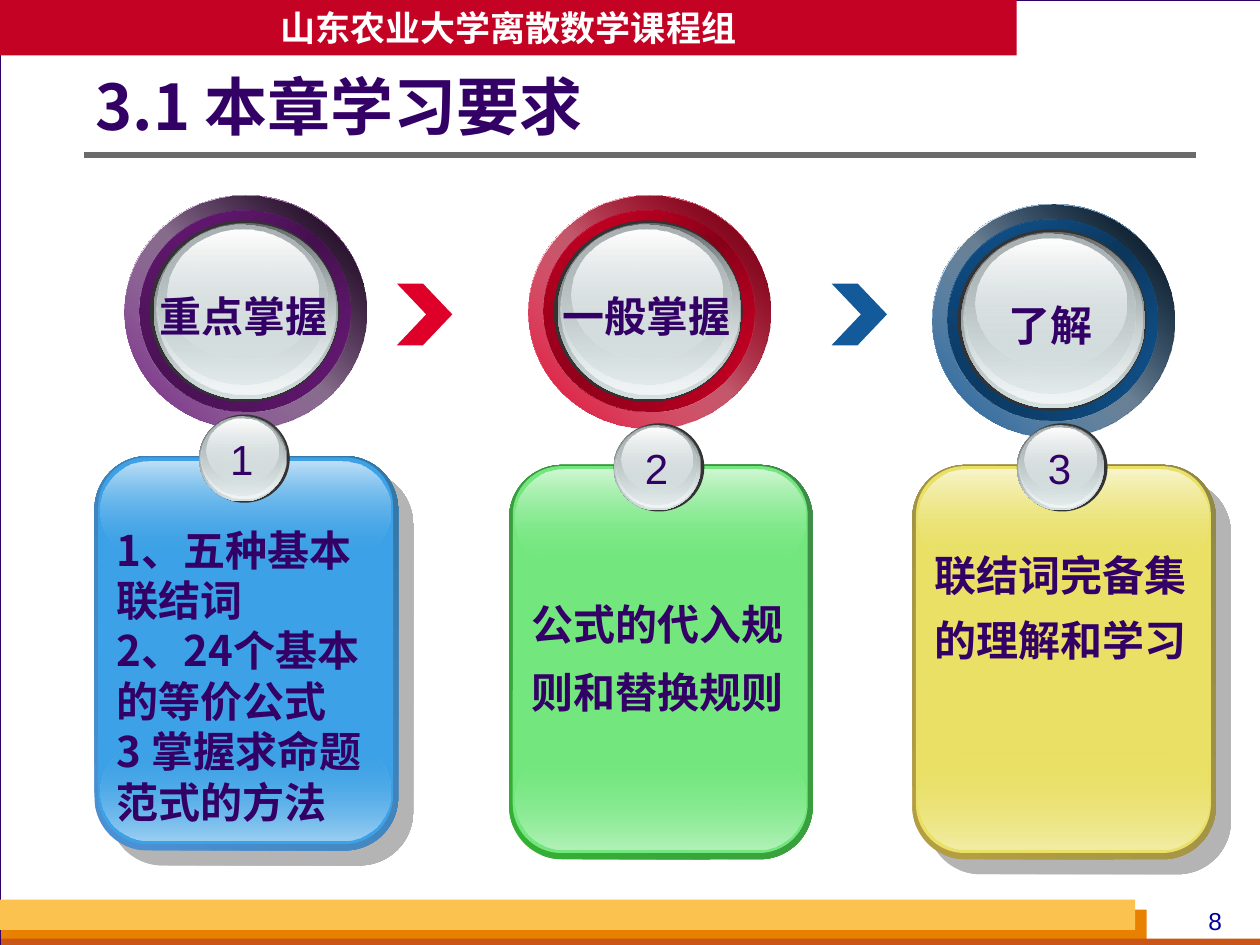
from dataclasses import dataclass
from lxml.etree import SubElement
from pptx import Presentation
from pptx.dml.color import RGBColor
from pptx.enum.shapes import MSO_CONNECTOR, MSO_SHAPE as Preset
from pptx.enum.text import MSO_ANCHOR as Anchor, MSO_AUTO_SIZE as AutoSize, PP_ALIGN as Align
from pptx.oxml.ns import qn
from pptx.util import Inches, Pt

COLORS = {
    "white": "FFFFFF", "ink": "330066", "navy": "000099", "banner": "C30224",
    "gray": "6B6B6B", "backdrop": "D8DADA", "rim": "333333", "black": "000000",
    "orange": "E88000", "rust": "C95616", "amber": "FCC24F",
    "red": "DF0029", "blue": "135A9A",
    "steel": "636869", "glass": "D6E1E2", "mist": "F1F5F5", "silver": "AAB2B3",
}
CJK = "Noto Sans CJK SC"
LABEL = {"size": Pt(24), "name": "Arial", "bold": True}
NUMBER = {"size": Pt(24), "name": "Arial"}
BODY = {"size": Pt(24), "name": CJK, "bold": True}
FIRST_RING, COLUMN_STEP = 0.99, 3.205

# Glass fills from rim to highlight: a colour, or (position, colour, opacity) stops
GLASS = [
    "rim",
    [(0, "steel", 100), (100, "glass", 100)],
    [(0, "glass", 0), (100, "mist", 100)],
    [(0, "silver", 100), (100, "glass", 48)],
    [(0, "white", 100), (100, "glass", 38)],
]
BIG_GLASS = [(0.2, 0.2, 1.5, 1.44), (0.23, 0.22, 1.46, 1.4), (0.25, 0.22, 1.42, 1.36),
             (0.26, 0.23, 1.35, 1.27), (0.34, 0.27, 1.2, 1.03)]
SMALL_GLASS = [(0, 0, 0.72, 0.7), (0, 0.01, 0.69, 0.68), (0.01, 0.01, 0.68, 0.66),
               (0.02, 0.02, 0.64, 0.62), (0.06, 0.03, 0.57, 0.5)]


@dataclass
class Topic:
    label: str
    lines: list
    ring: tuple      # main, middle, inner shade, outer end, end opacity
    card: tuple      # edge start, edge end, face, top light, bottom light
    ring_top: float
    card_at: tuple
    text_drop: float
    spacing: float = 1.0
    shadow: bool = True


TOPICS = [
    Topic("重点掌握", ["1、五种基本联结词", "2、24个基本的等价公式", "3 掌握求命题范式的方法"],
          ("711C81", "3D0F46", "481252", "black", 90),
          ("4E91D4", "3477A4", "3CA1E6", "BEE0F7", "9BCFF2"), 1.55, (0.75, 3.62), 0.49),
    Topic("一般掌握", ["公式的代入规则和替换规则"],
          ("DF0029", "790016", "8E001A", "670013", 100),
          ("34B034", "3F8B4A", "73E77E", "D0F7D4", "B3F2B9"), 1.55, (4.04, 3.69), 0.87,
          1.35, False),
    Topic("了解", ["联结词完备集的理解和学习"],
          ("135A9A", "0A3153", "0C3962", "black", 90),
          ("B59F43", "8F8849", "E9E065", "F8F5CC", "F2EDA6"), 1.62, (7.24, 3.69), 0.5, 1.3),
]


def color(name):
    return RGBColor.from_string(COLORS.get(name, name))


def add_color(parent, name, opacity):
    element = SubElement(parent, qn("a:srgbClr"), val=COLORS.get(name, name))
    if opacity < 100:
        SubElement(element, qn("a:alpha"), val=str(opacity * 1000))


def fill_gradient(shape, stops, angle):
    shape.fill.solid()
    properties = shape.element.spPr
    solid = properties.find(qn("a:solidFill"))
    gradient = SubElement(properties, qn("a:gradFill"), rotWithShape="1")
    stop_list = SubElement(gradient, qn("a:gsLst"))
    for position, name, opacity in stops:
        add_color(SubElement(stop_list, qn("a:gs"), pos=str(position * 1000)), name, opacity)
    SubElement(gradient, qn("a:lin"), ang=str(angle * 60000), scaled="0")
    properties.replace(solid, gradient)


def add_block(slide, preset, box, fill, angle=90, adjust=None):
    shape = slide.shapes.add_shape(preset, *map(Inches, box))
    shape.shadow.inherit = False
    shape.line.fill.background()
    if adjust is not None:
        shape.adjustments[0] = adjust
    if isinstance(fill, str):
        shape.fill.solid()
        shape.fill.fore_color.rgb = color(fill)
    else:
        fill_gradient(shape, fill, angle)
    return shape


def write(shape, lines, formats, ink="ink", align=Align.LEFT, spacing=1.0,
          anchor=Anchor.TOP, wrap=True):
    frame = shape.text_frame
    frame.word_wrap, frame.auto_size, frame.vertical_anchor = wrap, AutoSize.NONE, anchor
    for index, line in enumerate(lines):
        paragraph = frame.add_paragraph() if index else frame.paragraphs[0]
        paragraph.alignment, paragraph.line_spacing = align, spacing
        run = paragraph.add_run()
        run.text = line
        for attribute, value in formats.items():
            setattr(run.font, attribute, value)
        run.font.color.rgb = color(ink)
        SubElement(run.font._element, qn("a:ea"), typeface=CJK)


def add_text(slide, box, lines, formats, **options):
    write(slide.shapes.add_textbox(*map(Inches, box)), lines, formats, **options)


def add_glass(slide, left, top, layers):
    for (x, y, width, height), fill in zip(layers, GLASS):
        add_block(slide, Preset.OVAL, (left + x, top + y, width, height), fill)


def add_ring(slide, left, topic):
    main, middle, shade, end, end_opacity = topic.ring
    top = topic.ring_top
    outer = (left, top, 1.92, 1.85)
    inner = (left + 0.12, top + 0.12, 1.67, 1.6)
    for box, stops, angle in [
        (outer, [(0, main, 100), (50, "white", 100), (100, main, 100)], 315),
        (outer, [(0, main, 32), (100, end, end_opacity)], 315),
        (inner, [(0, main, 100), (50, middle, 100), (100, main, 100)], 45),
        (inner, [(0, shade, 100), (100, main, 0)], 315),
    ]:
        add_block(slide, Preset.OVAL, box, stops, angle)
    add_glass(slide, left, top, BIG_GLASS)
    add_text(slide, (left + 0.14, top + 0.71, 1.6, 0.5), [topic.label], LABEL,
             align=Align.CENTER, wrap=False)


def add_card(slide, number, topic):
    left, top = topic.card_at
    start, end, face, light, glow = topic.card
    edge = add_block(slide, Preset.ROUNDED_RECTANGLE, (left, top, 2.41, 3.13),
                     [(0, start, 100), (100, end, 100)], 315, 0.175)
    if topic.shadow:
        effects = edge.element.spPr.find(qn("a:effectLst"))
        shadow = SubElement(effects, qn("a:outerShdw"), dist=str(Pt(12.1)),
                            dir=str(45 * 60000), algn="ctr", rotWithShape="0")
        add_color(shadow, "gray", 50)
    for x, y, width, height, fill, adjust in [
        (0.03, 0.01, 2.34, 3.07, face, 0.165),
        (0.05, 2.27, 2.3, 0.78, [(0, face, 0), (100, glow, 100)], 0.5),
        (0.05, 0.04, 2.3, 0.77, [(0, light, 100), (100, face, 0)], 0.5),
    ]:
        add_block(slide, Preset.ROUNDED_RECTANGLE, (left + x, top + y, width, height),
                  fill, adjust=adjust)
    # Numbered badge and body text
    add_glass(slide, left + 0.83, top - 0.33, SMALL_GLASS)
    add_text(slide, (left + 0.98, top - 0.23, 0.38, 0.5), [str(number)], NUMBER,
             align=Align.CENTER, wrap=False)
    add_text(slide, (left + 0.08, top + topic.text_drop, 2.29, 2.6 - topic.text_drop / 3),
             topic.lines, BODY, spacing=topic.spacing)


def add_frame(slide):
    page = add_block(slide, Preset.RECTANGLE, (0, 0, 10.01, 7.5), "white")
    page.line.color.rgb, page.line.width = color("ink"), Pt(0.75)
    # Footer bars and page number
    for box, fill in [((0.01, 7.22, 9.09, 0.28), "orange"), ((0.01, 7.45, 10, 0.08), "rust"),
                      ((0, 7.14, 9.01, 0.24), "amber")]:
        add_block(slide, Preset.RECTANGLE, box, fill)
    add_text(slide, (9.33, 7.14, 0.63, 0.34), ["8"], {"size": Pt(14), "name": "Arial"},
             ink="navy", align=Align.CENTER)
    # Title rule and top banner
    rule = slide.shapes.add_connector(MSO_CONNECTOR.STRAIGHT,
                                      *map(Inches, (0.67, 1.23, 9.49, 1.23)))
    rule.line.color.rgb, rule.line.width = color("gray"), Pt(3)
    SubElement(rule.element.spPr, qn("a:effectLst"))
    banner = add_block(slide, Preset.RECTANGLE, (0, 0, 8.07, 0.44), "banner")
    write(banner, ["山东农业大学离散数学课程组"], {"size": Pt(20), "name": CJK, "bold": True},
          ink="white", align=Align.CENTER, anchor=Anchor.MIDDLE, wrap=False)


def place_title(slide, text):
    title = slide.shapes.title
    slide.shapes.element.append(title.element)  # bring in front of the page frame
    for attribute, value in zip(("left", "top", "width", "height"), (0.76, 0.59, 7.62, 0.56)):
        setattr(title, attribute, Inches(value))
    title.text_frame.margin_left = 0
    write(title, [text], {"size": Pt(36), "name": CJK, "bold": True}, spacing=0.9,
          anchor=Anchor.MIDDLE)


def main():
    presentation = Presentation()
    presentation.slide_width, presentation.slide_height = Inches(10), Inches(7.5)
    slide = presentation.slides.add_slide(presentation.slide_layouts[5])
    slide.background.fill.solid()
    slide.background.fill.fore_color.rgb = color("backdrop")
    add_frame(slide)
    place_title(slide, "3.1 本章学习要求")
    for left, fill in [(3.15, "red"), (6.6, "blue")]:
        add_block(slide, Preset.CHEVRON, (left, 2.25, 0.44, 0.49), fill, adjust=0.53)
    for index, topic in enumerate(TOPICS):
        add_ring(slide, FIRST_RING + index * COLUMN_STEP, topic)
        add_card(slide, index + 1, topic)
    presentation.save("out.pptx")


if __name__ == "__main__":
    main()
